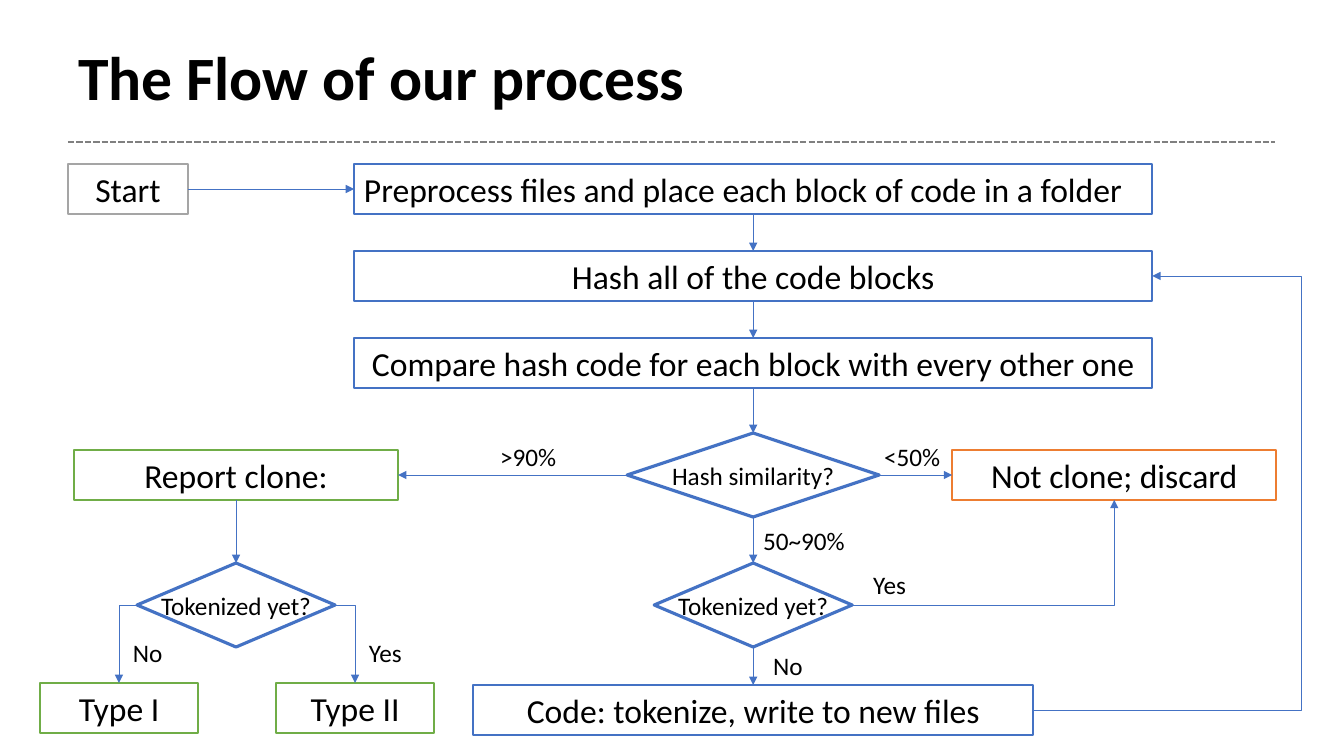
from lxml import etree
from pptx import Presentation, util as u
from pptx.dml.color import RGBColor
from pptx.enum import dml, shapes, text
from pptx.oxml.ns import qn

PX = 9071.43  # EMU per pixel at 100.8 pixels to the inch
FONT = "Calibri"
COLORS = {"black": "000000", "white": "FFFFFF", "rule": "808080", "gray": "A5A5A5",
          "blue": "4472C4", "green": "70AD47", "orange": "ED7D31"}
RGB = {name: RGBColor.from_string(value) for name, value in COLORS.items()}
TOP, LEFT, BOTTOM, RIGHT = range(4)  # connection sites


def box(*lengths):
    """Turn pixel lengths into EMU."""
    return [round(n * PX) for n in lengths]


def write(tf, words, size, align):
    """Put one formatted paragraph into a text frame."""
    tf.text = words
    p = tf.paragraphs[0]
    p.alignment = align
    p.font.name, p.font.size = FONT, u.Pt(size)
    p.font.color.rgb = RGB["black"]
    return p


prs = Presentation()
prs.slide_width, prs.slide_height = u.Inches(13.33), u.Inches(7.5)
s = prs.slides.add_slide(prs.slide_layouts[5])
ALIGN = text.PP_ALIGN

# Title and dashed rule
title = s.shapes.title
title.left, title.top, title.width, title.height = box(68, 40, 1183, 82)
p = write(title.text_frame, "The Flow of our process", 44, ALIGN.LEFT)
p.font.bold, p.line_spacing = True, 0.9
title.text_frame.auto_size = text.MSO_AUTO_SIZE.NONE
title.text_frame.vertical_anchor = text.MSO_ANCHOR.MIDDLE

rule = s.shapes.add_connector(shapes.MSO_CONNECTOR.STRAIGHT, *box(68, 142, 1275, 142))
rule.line.color.rgb, rule.line.width = RGB["rule"], u.Pt(1.5)
rule.line.dash_style = dml.MSO_LINE.SQUARE_DOT
etree.SubElement(rule._element.spPr, qn("a:effectLst"))

# Steps: left, top, width, height, outline, text
STEPS = {
    "start": (68, 164, 120, 50, "gray", "Start"),
    "preprocess": (354, 164, 798, 50, "blue",
                   "Preprocess files and place each block of code in a folder"),
    "hash": (354, 251, 798, 50, "blue", "Hash all of the code blocks"),
    "compare": (354, 338, 798, 50, "blue",
                "Compare hash code for each block with every other one"),
    "report": (74, 450, 324, 50, "green", "Report clone:"),
    "discard": (952, 450, 324, 50, "orange", "Not clone; discard"),
    "tokenize": (473, 685, 560, 50, "blue", "Code: tokenize, write to new files"),
    "type1": (40, 683, 158, 50, "green", "Type I"),
    "type2": (276, 683, 158, 50, "green", "Type II"),
    "similarity": (627, 433, 252, 84, "blue", "Hash similarity?"),
    "clone_tokenized": (137, 563, 198, 84, "blue", "Tokenized yet?"),
    "block_tokenized": (654, 563, 198, 84, "blue", "Tokenized yet?"),
}
nodes = {}
for name, (x, y, w, h, outline, words) in STEPS.items():
    decision = words.endswith("?")
    kind = shapes.MSO_SHAPE.DIAMOND if decision else shapes.MSO_SHAPE.RECTANGLE
    sp = s.shapes.add_shape(kind, *box(x, y, w, h))
    sp.shadow.inherit = False
    sp.fill.solid()
    sp.fill.fore_color.rgb = RGB["white"]
    sp.line.color.rgb = RGB[outline]
    sp.line.width = u.Pt(2.25 if decision else 1.5)
    tf = sp.text_frame
    tf.word_wrap = not decision
    if decision:
        tf.margin_left = tf.margin_right = tf.margin_top = tf.margin_bottom = 0
    align = ALIGN.LEFT if name == "preprocess" else ALIGN.CENTER
    write(tf, words, 18 if decision else 24, align)
    nodes[name] = sp

# Arrows: from step and site, to step and site, line width, geometry
STRAIGHT, CORNER, LOOP = "straightConnector1", "bentConnector2", "bentConnector3"
ARROWS = [
    ("start", RIGHT, "preprocess", LEFT, 0.5, STRAIGHT),
    ("preprocess", BOTTOM, "hash", TOP, 0.75, STRAIGHT),
    ("hash", BOTTOM, "compare", TOP, 0.75, STRAIGHT),
    ("compare", BOTTOM, "similarity", TOP, 0.75, STRAIGHT),
    ("similarity", LEFT, "report", RIGHT, 0.5, STRAIGHT),
    ("similarity", RIGHT, "discard", LEFT, 0.5, STRAIGHT),
    ("similarity", BOTTOM, "block_tokenized", TOP, 0.5, STRAIGHT),
    ("block_tokenized", BOTTOM, "tokenize", TOP, 0.5, STRAIGHT),
    ("report", BOTTOM, "clone_tokenized", TOP, 0.5, STRAIGHT),
    ("block_tokenized", RIGHT, "discard", BOTTOM, 0.5, CORNER),
    ("clone_tokenized", LEFT, "type1", TOP, 0.5, CORNER),
    ("clone_tokenized", RIGHT, "type2", TOP, 0.5, CORNER),
    ("tokenize", RIGHT, "hash", RIGHT, 0.5, LOOP),
]
for source, out_site, target, in_site, width, geometry in ARROWS:
    c = s.shapes.add_connector(shapes.MSO_CONNECTOR.ELBOW, 0, 0, 0, 0)
    c.begin_connect(nodes[source], out_site)
    c.end_connect(nodes[target], in_site)
    c.line.color.rgb, c.line.width = RGB["blue"], u.Pt(width)
    etree.SubElement(c.line._get_or_add_ln(), qn("a:tailEnd"), type="triangle")
    etree.SubElement(c._element.spPr, qn("a:effectLst"))
    geom = c._element.spPr.find(qn("a:prstGeom"))
    geom.set("prst", geometry)
    if geometry == LOOP:
        etree.SubElement(geom.find(qn("a:avLst")), qn("a:gd"), name="adj1", fmla="val 224900")

# Branch labels: left, top, width, text
LABELS = [
    (490, 436, 77, ">90%"), (874, 436, 77, "<50%"), (753, 520, 103, "50~90%"),
    (863, 564, 53, "Yes"), (763, 645, 50, "No"),
    (359, 632, 53, "Yes"), (123, 632, 50, "No"),
]
for x, y, w, words in LABELS:
    tf = s.shapes.add_textbox(*box(x, y, w, 40)).text_frame
    tf.word_wrap = False
    write(tf, words, 18, ALIGN.LEFT)

prs.save("out.pptx")
